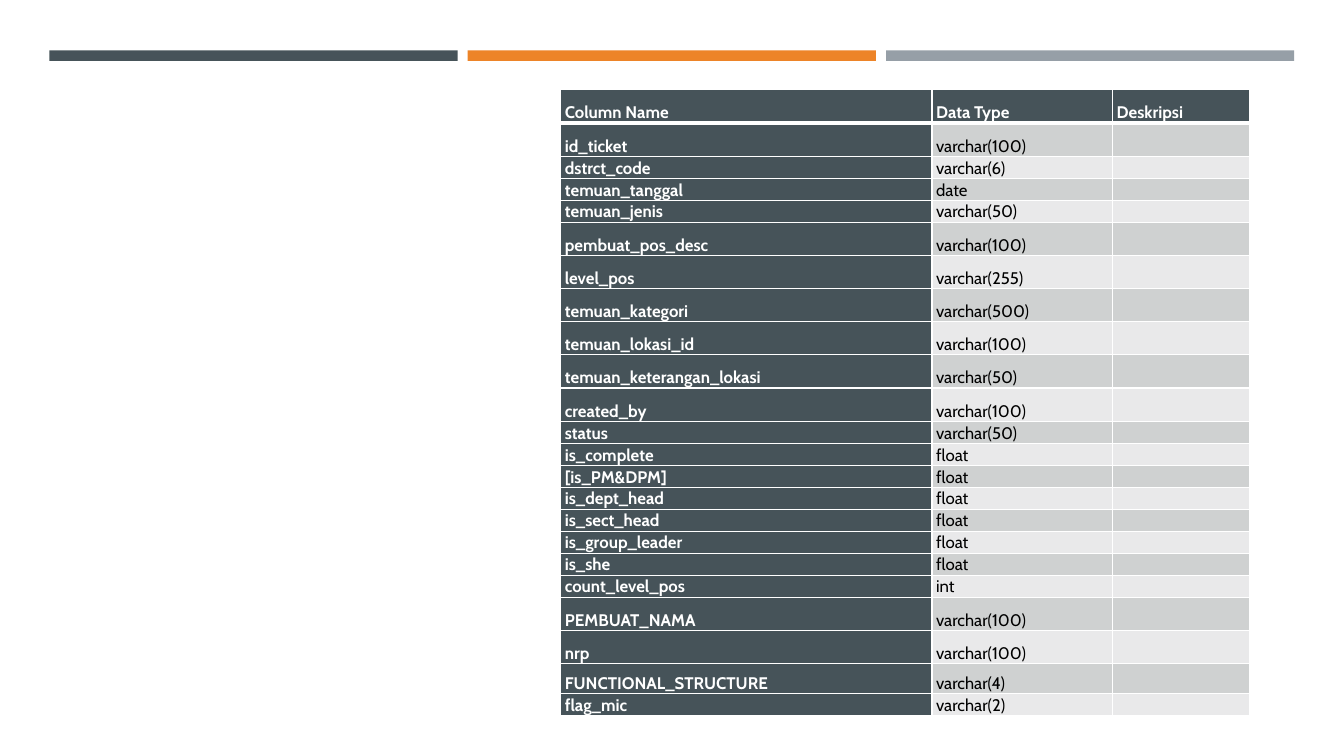
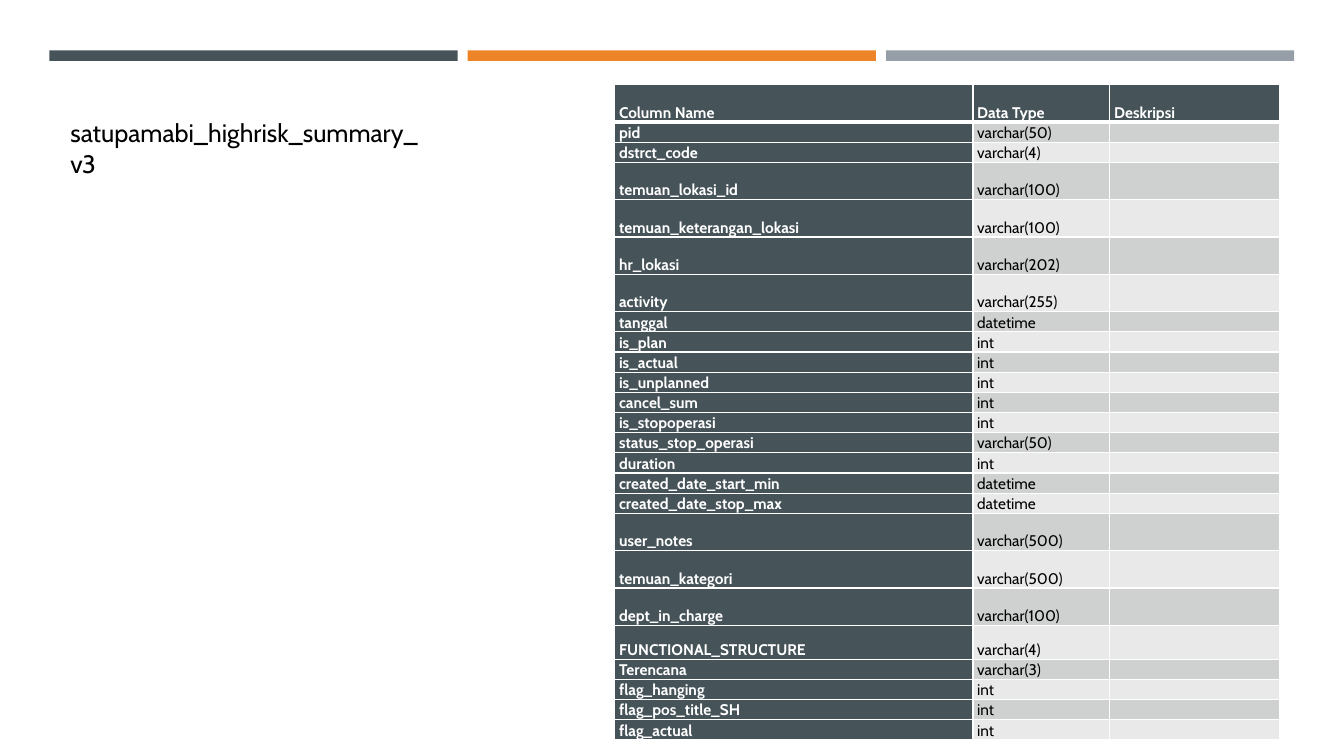
import pptx
import pptx.util
import pptx.dml.color
import pptx.enum.shapes
import pptx.enum.text
import pptx.oxml.ns
from lxml import etree

Pt = pptx.util.Pt
FONT = "Cabin"
DARK, ORANGE, GREY = "465359", "ED8428", "969FA7"
WHITE, BLACK = "FFFFFF", "000000"
BANDS = ["CFD1D1", "E9E9EA"]
HEAD = ["Column Name", "Data Type", "Deskripsi"]

# Each row: column name, data type, height class (T tall, M middle, S short)
TICKET = [
    ("id_ticket", "varchar(100)", "T"),
    ("dstrct_code", "varchar(6)", "S"),
    ("temuan_tanggal", "date", "S"),
    ("temuan_jenis", "varchar(50)", "S"),
    ("pembuat_pos_desc", "varchar(100)", "T"),
    ("level_pos", "varchar(255)", "T"),
    ("temuan_kategori", "varchar(500)", "T"),
    ("temuan_lokasi_id", "varchar(100)", "T"),
    ("temuan_keterangan_lokasi", "varchar(50)", "T"),
    ("created_by", "varchar(100)", "T"),
    ("status", "varchar(50)", "S"),
    ("is_complete", "float", "S"),
    ("[is_PM&DPM]", "float", "S"),
    ("is_dept_head", "float", "S"),
    ("is_sect_head", "float", "S"),
    ("is_group_leader", "float", "S"),
    ("is_she", "float", "S"),
    ("count_level_pos", "int", "S"),
    ("PEMBUAT_NAMA", "varchar(100)", "T"),
    ("nrp", "varchar(100)", "T"),
    ("FUNCTIONAL_STRUCTURE", "varchar(4)", "M"),
    ("flag_mic", "varchar(2)", "S"),
]
RISK = [
    ("pid", "varchar(50)", "S"),
    ("dstrct_code", "varchar(4)", "S"),
    ("temuan_lokasi_id", "varchar(100)", "T"),
    ("temuan_keterangan_lokasi", "varchar(100)", "T"),
    ("hr_lokasi", "varchar(202)", "T"),
    ("activity", "varchar(255)", "T"),
    ("tanggal", "datetime", "S"),
    ("is_plan", "int", "S"),
    ("is_actual", "int", "S"),
    ("is_unplanned", "int", "S"),
    ("cancel_sum", "int", "S"),
    ("is_stopoperasi", "int", "S"),
    ("status_stop_operasi", "varchar(50)", "S"),
    ("duration", "int", "S"),
    ("created_date_start_min", "datetime", "S"),
    ("created_date_stop_max", "datetime", "S"),
    ("user_notes", "varchar(500)", "T"),
    ("temuan_kategori", "varchar(500)", "T"),
    ("dept_in_charge", "varchar(100)", "T"),
    ("FUNCTIONAL_STRUCTURE", "varchar(4)", "M"),
    ("Terencana", "varchar(3)", "S"),
    ("flag_hanging", "int", "S"),
    ("flag_pos_title_SH", "int", "S"),
    ("flag_actual", "int", "S"),
]


def paint(fill, color):
    fill.solid()
    fill.fore_color.rgb = pptx.dml.color.RGBColor.from_string(color)


def style(para, size, color, bold=False):
    font = para.font
    font.name, font.size, font.bold = FONT, Pt(size), bold
    paint(font.fill, color)


def edge(cell, side, width):
    """Draw one white border of a cell."""
    qn = pptx.oxml.ns.qn
    props = cell._tc.get_or_add_tcPr()
    line = etree.SubElement(props, qn("a:ln" + side), w=str(Pt(width)))
    fill = etree.SubElement(line, qn("a:solidFill"))
    etree.SubElement(fill, qn("a:srgbClr"), val=WHITE)


def bars(slide, left, top, width, gap=7.2):
    """Three coloured bars across the top."""
    colors = [DARK, ORANGE, GREY]
    each = (width - gap * (len(colors) - 1)) / len(colors)
    for i, color in enumerate(colors):
        bar = slide.shapes.add_shape(
            pptx.enum.shapes.MSO_SHAPE.RECTANGLE,
            Pt(left + i * (each + gap)), Pt(top), Pt(each), Pt(7.5))
        bar.shadow.inherit = False
        paint(bar.fill, color)
        bar.line.fill.background()


def title(slide, text, left, top, width, height):
    box = slide.shapes.add_textbox(Pt(left), Pt(top), Pt(width), Pt(height))
    box.text_frame.word_wrap = True
    para = box.text_frame.paragraphs[0]
    para.text = text
    style(para, 18, BLACK)


def put(cell, text, size, color, back, bold, top, low):
    """Fill and format one table cell."""
    cell.margin_left = cell.margin_right = Pt(3)
    cell.margin_top = cell.margin_bottom = 0
    cell.vertical_anchor = pptx.enum.text.MSO_ANCHOR.BOTTOM
    for side, width in (("L", 1), ("R", 1), ("T", top), ("B", low)):
        edge(cell, side, width)
    paint(cell.fill, back)
    para = cell.text_frame.paragraphs[0]
    para.line_spacing = 1.07
    if text:
        para.text = text
        style(para, size, color, bold)
    else:
        # An empty cell needs a small end mark to keep its row low
        etree.SubElement(para._p, pptx.oxml.ns.qn("a:endParaRPr"),
                         sz=str(size * 100))


def schema(slide, rows, left, top, widths, high, size):
    """Table of columns and types; high maps height classes to points."""
    lines = [(*HEAD, "T")] + [(name, kind, "", h) for name, kind, h in rows]
    tall = [high[line[-1]] for line in lines]
    table = slide.shapes.add_table(
        len(lines), len(widths), Pt(left), Pt(top),
        Pt(sum(widths)), Pt(sum(tall))).table
    table.horz_banding = False
    for col, width in zip(table.columns, widths):
        col.width = Pt(width)
    for r, line in enumerate(lines):
        table.rows[r].height = Pt(tall[r])
        for c, text in enumerate(line[:-1]):
            dark = r == 0 or c == 0
            put(table.cell(r, c), text, size,
                WHITE if dark else BLACK,
                DARK if dark else BANDS[(r - 1) % 2],
                dark, 3 if r == 1 else 1, 3 if r == 0 else 1)


def main():
    deck = pptx.Presentation()
    deck.slide_width, deck.slide_height = Pt(960), Pt(540)
    first, second = [deck.slides.add_slide(deck.slide_layouts[6])
                     for _ in range(2)]
    for slide in (first, second):
        bars(slide, 35.3, 36, 889.2)

    # Ticket table
    schema(first, TICKET, 400.5, 64.2, [265.2, 129, 98],
           {"T": 23.7, "M": 21.4, "S": 15.4}, 12)

    # High-risk summary table
    schema(second, RISK, 439.2, 60.5, [255.8, 97.8, 121],
           {"T": 26.7, "M": 24.3, "S": 14.15}, 11)
    title(second, "satupamabi_highrisk_summary_v3", 43.2, 80.6, 267, 29)

    deck.save("out.pptx")


if __name__ == "__main__":
    main()
